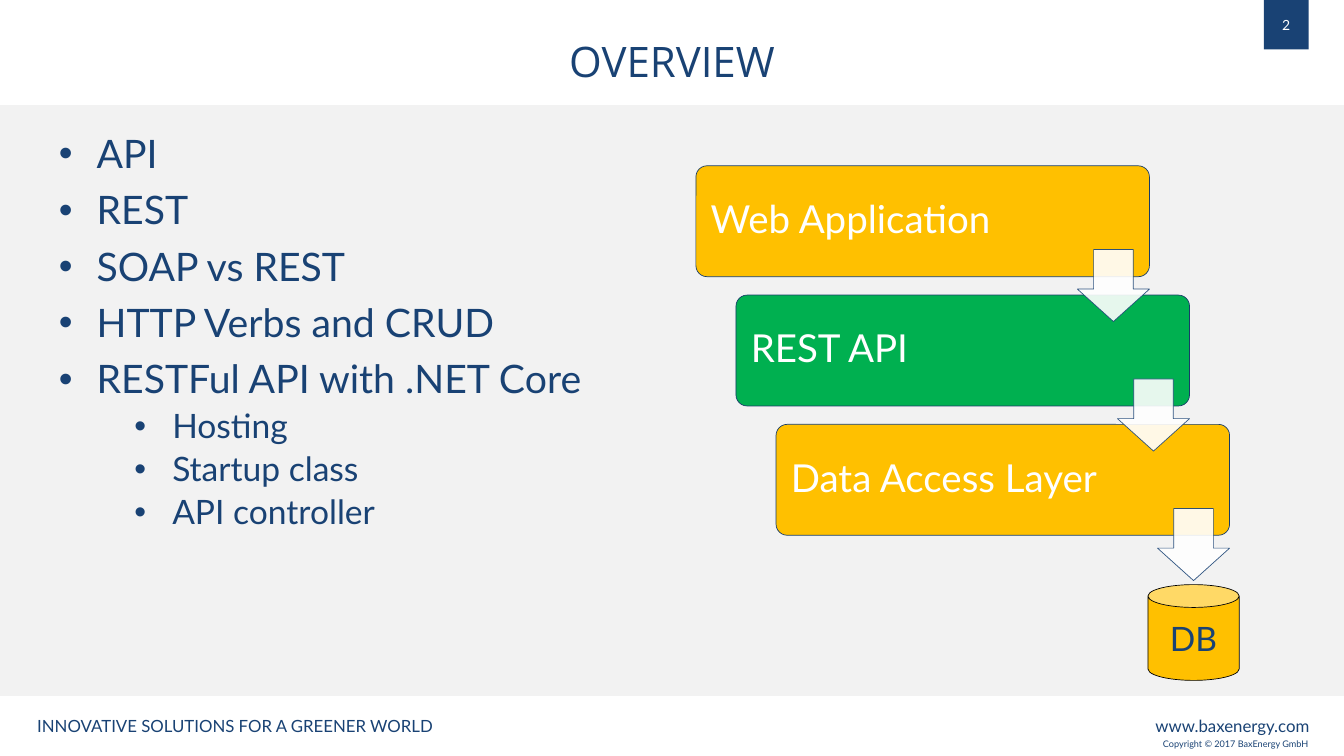
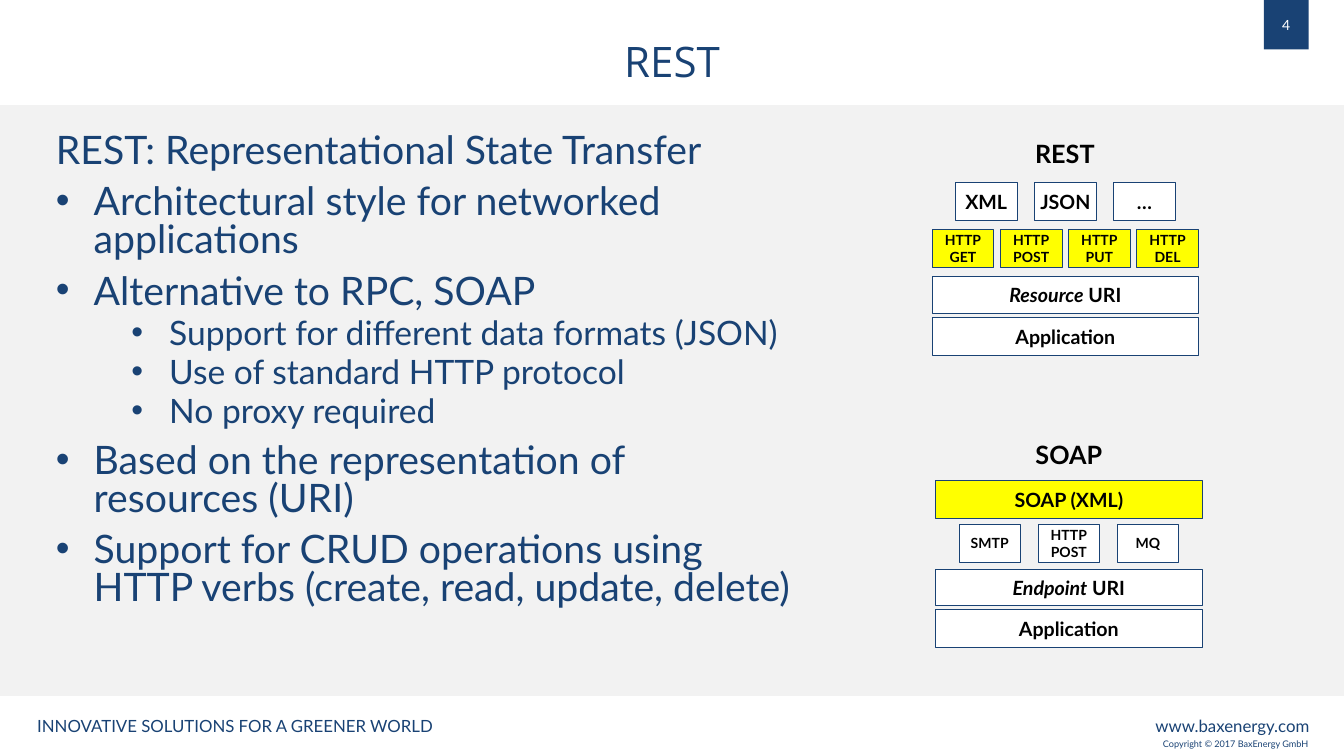
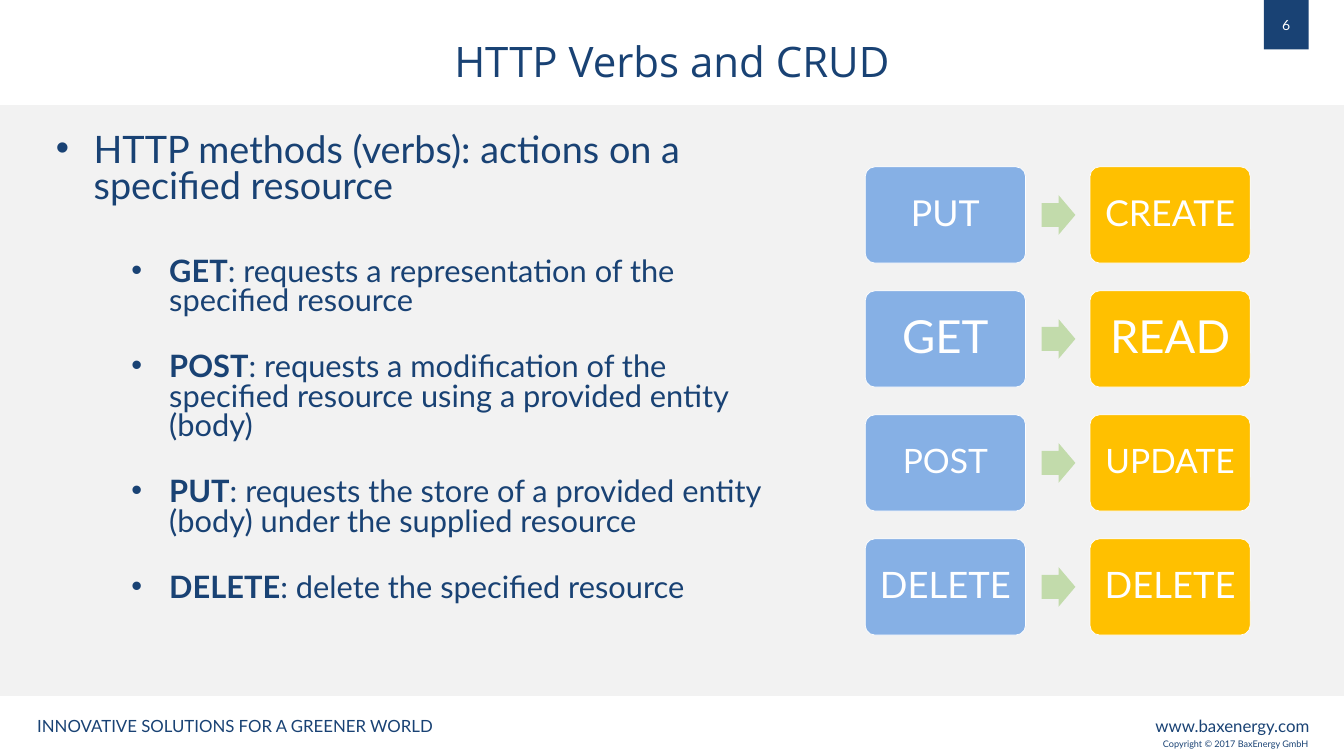
from dataclasses import dataclass
from typing import Any, NamedTuple, Optional

from lxml.etree import SubElement
from pptx import Presentation
from pptx.dml.color import RGBColor as RGB
from pptx.enum.shapes import MSO_SHAPE as Kind
from pptx.enum.text import MSO_ANCHOR as Anchor, PP_ALIGN as Align
from pptx.oxml.ns import qn
from pptx.util import Inches, Pt


# Theme: colours, fonts and type sizes
@dataclass(frozen=True)
class Theme:
    navy: str = "194274"
    edge: str = "173C69"
    white: str = "FFFFFF"
    black: str = "000000"
    paper: str = "F2F2F2"
    gold: str = "FFC000"
    green: str = "00B050"
    yellow: str = "FFFF00"
    blue: str = "86B0E5"
    leaf: str = "C2DBAB"
    font: str = "Lato"
    head: str = "Open Sans"
    title: int = 60
    big: int = 56
    sub: int = 48
    verb: int = 54
    note: int = 44
    layer: int = 55
    group: int = 36
    cell: int = 28
    small: int = 20
    foot: int = 24
    legal: int = 13


T = Theme()
WIDE, HIGH = 26.67, 15


class Run(NamedTuple):
    text: str
    bold: bool = False
    italic: bool = False


class Para(NamedTuple):
    runs: tuple[Run, ...]
    size: int
    level: int = 0
    bullet: bool = False
    before: float = 0
    space: float = 1.0


class Style(NamedTuple):
    color: str = T.navy
    font: str = T.font
    align: Any = Align.LEFT
    anchor: Any = Anchor.TOP
    margin: Optional[float] = None


class Look(NamedTuple):
    kind: Any = Kind.RECTANGLE
    fill: str = T.white
    line: Optional[str] = None
    adj: tuple[float, ...] = ()
    alpha: Optional[int] = None


class Area(NamedTuple):
    left: float
    top: float
    width: float
    height: float

    def inches(self) -> list[int]:
        return [Inches(n) for n in self]


MID = Style(align=Align.CENTER, anchor=Anchor.MIDDLE)
CELL = MID._replace(color=T.black)
CARD = MID._replace(color=T.white)


# Text helpers
def assign(item: Any, values: dict[str, Any]) -> None:
    for name, value in values.items():
        setattr(item, name, value)


def lines(text: str, size: int, bold: bool = False, space: float = 1.0) -> list[Para]:
    return [Para((Run(part, bold),), size, space=space) for part in text.split("\n")]


def mark(para: Any, level: int) -> None:
    props = para._p.get_or_add_pPr()
    props.set("marL", str(Inches(0.75 + 1.5 * level)))
    props.set("indent", str(Inches(-0.75)))
    SubElement(props, qn("a:buFont")).set("typeface", "Arial")
    SubElement(props, qn("a:buChar")).set("char", "•")


def write(frame: Any, paras: list[Para], style: Style) -> None:
    assign(frame, {"word_wrap": True, "vertical_anchor": style.anchor})
    if style.margin is not None:
        sides = ("left", "right", "top", "bottom")
        assign(frame, {f"margin_{side}": Inches(style.margin) for side in sides})
    for index, item in enumerate(paras):
        para = frame.add_paragraph() if index else frame.paragraphs[0]
        if item.bullet:
            mark(para, item.level)
        assign(para, {
            "level": item.level,
            "alignment": style.align,
            "line_spacing": item.space,
            "space_before": Pt(item.before if index else 0),
        })
        for part in item.runs:
            run = para.add_run()
            run.text = part.text
            assign(run.font, {
                "name": style.font, "size": Pt(item.size),
                "bold": part.bold, "italic": part.italic,
            })
            run.font.color.rgb = RGB.from_string(style.color)


# Drawing helpers
def label(slide: Any, area: Area, paras: list[Para], style: Style = Style()) -> None:
    write(slide.shapes.add_textbox(*area.inches()).text_frame, paras, style)


def fade(shape: Any, alpha: int) -> None:
    for color in shape._element.spPr.iter(qn("a:srgbClr")):
        SubElement(color, qn("a:alpha")).set("val", str(alpha * 1000))


def draw(slide: Any, area: Area, look: Look,
         paras: Optional[list[Para]] = None, style: Style = MID) -> None:
    shape = slide.shapes.add_shape(look.kind, *area.inches())
    shape.shadow.inherit = False
    for index, value in enumerate(look.adj):
        shape.adjustments[index] = value
    shape.fill.solid()
    shape.fill.fore_color.rgb = RGB.from_string(look.fill)
    if look.line:
        shape.line.width = Pt(1)
        shape.line.color.rgb = RGB.from_string(look.line)
    else:
        shape.line.fill.background()
    if look.alpha:
        fade(shape, look.alpha)
    if paras:
        write(shape.text_frame, paras, style)


# Parts shared by all slides: bands, footer, page tab and title
def start(deck: Any, title: str, page: int) -> Any:
    slide = deck.slides.add_slide(deck.slide_layouts[5])
    draw(slide, Area(0, 0, WIDE, 2.08), Look())
    draw(slide, Area(0, 13.81, WIDE, 1.19), Look())
    label(slide, Area(22.63, 14.15, 3.45, 0.5), lines("www.baxenergy.com", T.foot),
          Style(align=Align.RIGHT))
    label(slide, Area(0.64, 14.16, 8.2, 0.5),
          lines("INNOVATIVE SOLUTIONS FOR A GREENER WORLD", T.foot))
    label(slide, Area(22.98, 14.61, 3.69, 0.32),
          lines("Copyright © 2017 BaxEnergy GmbH", T.legal))
    draw(slide, Area(25.08, 0, 0.89, 0.98),
         Look(Kind.ROUND_2_SAME_RECTANGLE, T.navy, adj=(0, 0)),
         lines(str(page), T.small), CARD)
    head = slide.shapes.title
    places = ("left", "top", "width", "height")
    assign(head, dict(zip(places, Area(0, 0, WIDE, 2.52).inches())))
    write(head.text_frame, lines(title, T.title, space=0.9), MID._replace(font=T.head))
    head.element.getparent().append(head.element)  # above the bands
    return slide


def point(text: str, level: int = 0, space: float = 0.8) -> Para:
    size, before = ((T.big, 20), (T.sub, 10))[level]
    return Para((Run(text),), size, level, True, before, space)


# Slide: overview with the layer stairs
def overview(deck: Any) -> None:
    slide = start(deck, "OVERVIEW", 2)
    tops = ("API", "REST", "SOAP vs REST", "HTTP Verbs and CRUD",
            "RESTFul API with .NET Core")
    subs = ("Hosting", "Startup class", "API controller")
    label(slide, Area(1.07, 2.62, 12.74, 10.88),
          [point(text, 0, 0.9) for text in tops] + [point(text, 1, 0.9) for text in subs])

    layers = (("Web Application", T.gold), ("REST API", T.green),
              ("Data Access Layer", T.gold))
    step = Style(T.white, anchor=Anchor.MIDDLE, margin=0.23)
    for index, (name, fill) in enumerate(layers):
        draw(slide, Area(13.81 + 0.795 * index, 3.29 + 2.565 * index, 9, 2.2),
             Look(Kind.ROUNDED_RECTANGLE, fill, T.edge, (0.1,)),
             lines(name, T.layer, space=0.9), step)
    draw(slide, Area(22.78, 11.6, 1.81, 1.9), Look(Kind.CAN, T.gold, T.black),
         lines("DB", T.sub))
    arrow = Look(Kind.DOWN_ARROW, T.white, T.navy, (0.55, 0.45), 90)
    for index in range(len(layers)):
        draw(slide, Area(21.38 + 0.795 * index, 4.95 + 2.57 * index, 1.43, 1.43), arrow)


# Slide: REST and SOAP stacks
def cells(slide: Any, left: float, top: float, pitch: float,
          names: tuple[str, ...], size: int, fill: str = T.white) -> None:
    for index, name in enumerate(names):
        draw(slide, Area(left + pitch * index, top, 1.22, 0.75),
             Look(fill=fill, line=T.navy), lines(name, size, True), CELL)


def bar(slide: Any, left: float, top: float, runs: tuple[Run, ...],
        height: float = 0.75, fill: str = T.white) -> None:
    draw(slide, Area(left, top, 5.28, height), Look(fill=fill, line=T.navy),
         [Para(runs, T.cell)], CELL)


def base(slide: Any, left: float, top: float, word: str) -> None:
    bar(slide, left, top, (Run(word, True, True), Run(" URI", True)), 0.72)
    bar(slide, left, top + 0.81, (Run("Application", True),))


def rest(deck: Any) -> None:
    slide = start(deck, "REST", 4)
    label(slide, Area(1.01, 2.61, 14.85, 10.88), [
        *lines("REST: Representational State Transfer", T.big, space=0.8),
        point("Architectural style for networked applications"),
        point("Alternative to RPC, SOAP"),
        point("Support for different data formats (JSON)", 1),
        point("Use of standard HTTP protocol", 1),
        point("No proxy required", 1),
        point("Based on the representation of resources (URI)"),
        point("Support for CRUD operations using HTTP verbs (create, read, update, delete)"),
    ])
    for name, left, top in (("REST", 19.97, 2.47), ("SOAP", 20.05, 8.45)):
        label(slide, Area(left, top, 2.32, 1.15), lines(name, T.group, True), CELL)

    # REST stack
    cells(slide, 18.96, 3.62, 1.57, ("XML", "JSON", "…"), T.cell)
    verbs = ("HTTP\nGET", "HTTP\nPOST", "HTTP\nPUT", "HTTP\nDEL")
    cells(slide, 18.5, 4.55, 1.353, verbs, T.small, T.yellow)
    base(slide, 18.5, 5.49, "Resource")

    # SOAP stack
    bar(slide, 18.57, 9.53, (Run("SOAP (XML)", True),), fill=T.yellow)
    cells(slide, 19.03, 10.4, 1.57, ("SMTP", "HTTP\nPOST", "MQ"), T.small)
    base(slide, 18.57, 11.29, "Endpoint")


# Slide: verbs matched with CRUD actions
class Match(NamedTuple):
    verb: str
    action: str
    size: int
    margin: float


def crud(deck: Any) -> None:
    slide = start(deck, "HTTP Verbs and CRUD", 6)
    notes = (
        ("GET", ": requests a representation of the specified resource"),
        ("POST", ": requests a modification of the specified resource "
                 "using a provided entity (body)"),
        ("PUT", ": requests the store of a provided entity (body) "
                "under the supplied resource"),
        ("DELETE", ": delete the specified resource"),
    )
    intro = Run("HTTP methods (verbs): actions on a specified resource")
    paras = [Para((intro,), T.verb, 0, True, 0, 0.8)]
    for index, (verb, text) in enumerate(notes):
        paras.append(Para((Run(verb, True), Run(text)), T.note, 1, True,
                          52 if index else 74, 0.8))
    label(slide, Area(1.01, 2.61, 14.85, 10.28), paras)

    matches = (
        Match("PUT", "CREATE", 51, 0.21),
        Match("GET", "READ", 65, 0.27),
        Match("POST", "UPDATE", 48, 0.2),
        Match("DELETE", "DELETE", 52, 0.22),
    )
    for index, match in enumerate(matches):
        top = 3.31 + 2.46 * index
        style = CARD._replace(margin=match.margin)
        for left, name, fill in ((17.17, match.verb, T.blue),
                                 (21.63, match.action, T.gold)):
            draw(slide, Area(left, top, 3.18, 1.91),
                 Look(Kind.ROUNDED_RECTANGLE, fill, T.white, (0.1,)),
                 lines(name, match.size, space=0.9), style)
        draw(slide, Area(20.67, top + 0.56, 0.67, 0.79),
             Look(Kind.RIGHT_ARROW, T.leaf, adj=(0.6, 0.5)))


def main() -> None:
    deck = Presentation()
    assign(deck, {"slide_width": Inches(WIDE), "slide_height": Inches(HIGH)})
    back = deck.slide_master.background.fill
    back.solid()
    back.fore_color.rgb = RGB.from_string(T.paper)
    for build in (overview, rest, crud):
        build(deck)
    deck.save("out.pptx")


if __name__ == "__main__":
    main()
